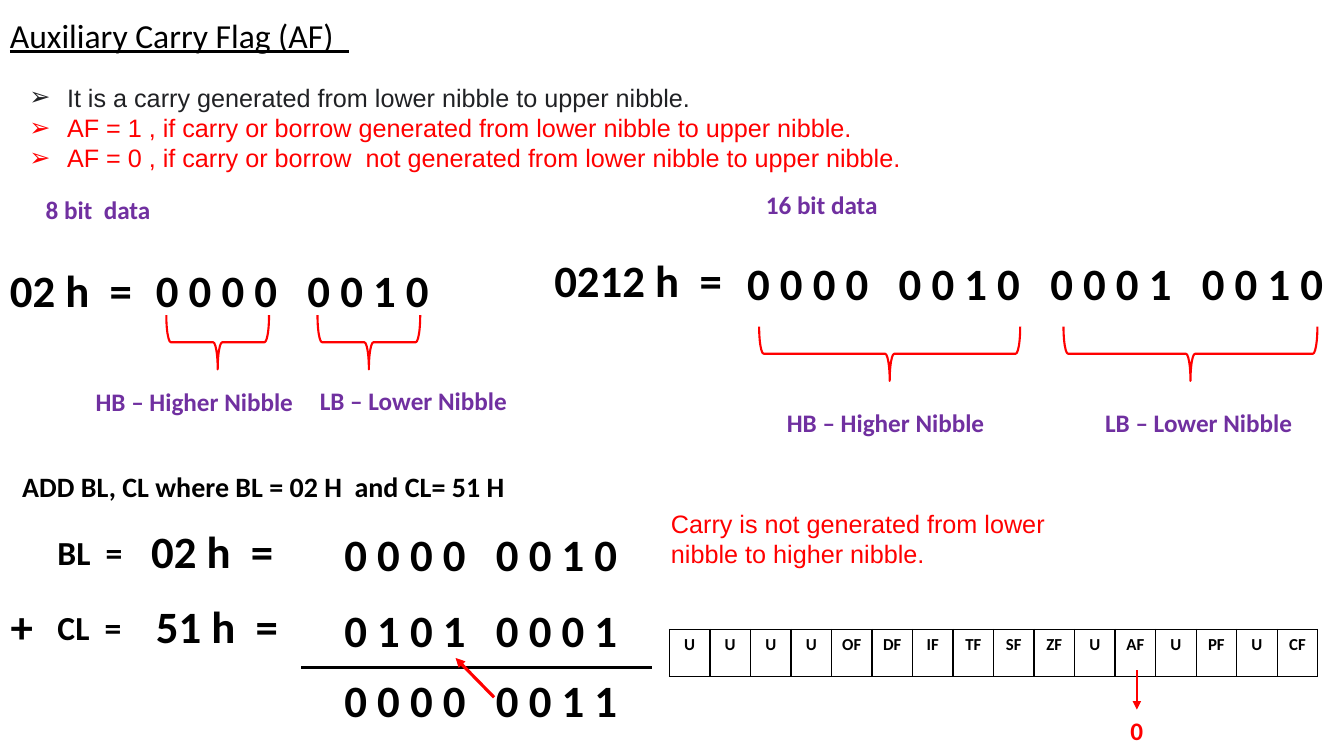
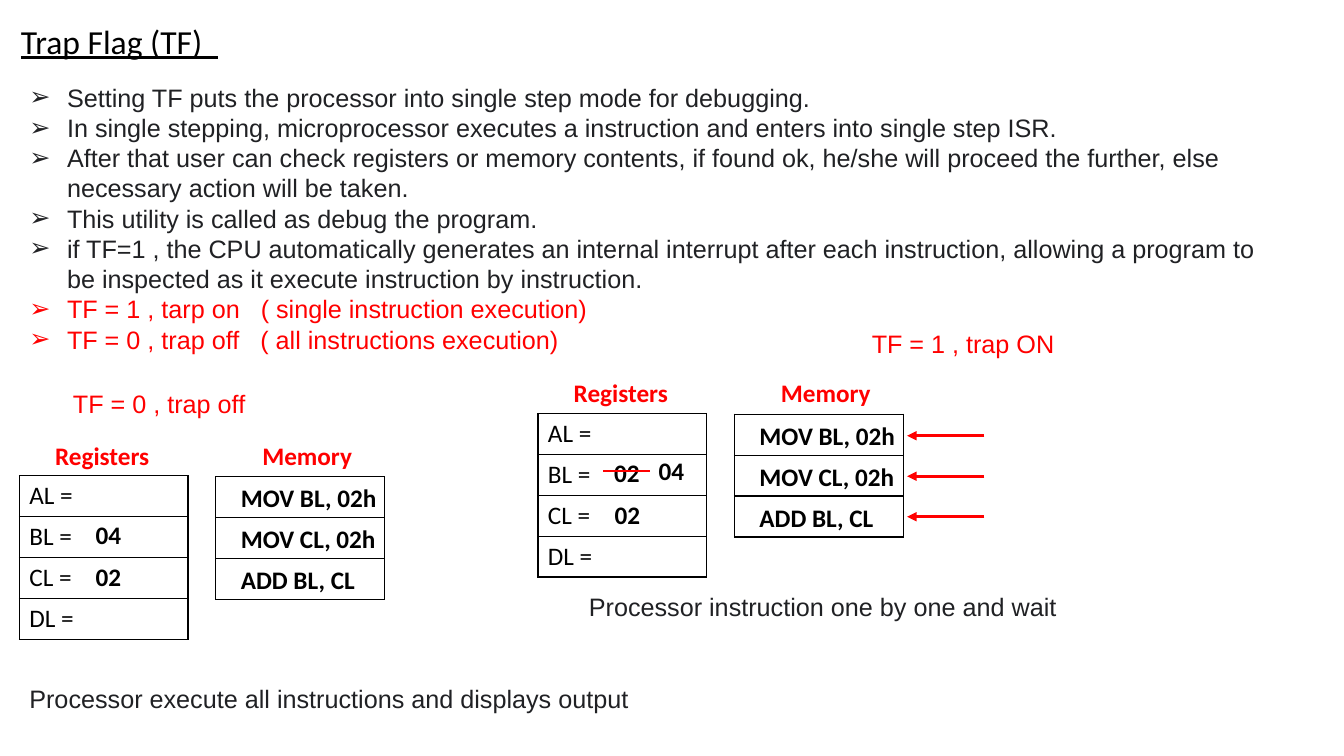
from lxml.etree import SubElement
from pptx import Presentation
from pptx.dml.color import RGBColor
from pptx.enum.shapes import MSO_CONNECTOR, MSO_SHAPE
from pptx.enum.text import PP_ALIGN
from pptx.oxml.ns import qn
from pptx.util import Cm, Pt

COLORS = {"black": "000000", "ink": "202124", "red": "FF0000", "plum": "7030A0"}
SANS, BODY = "Calibri", "Arial"
ROW = 1.03


def tint(name):
    """Return the named colour."""
    return RGBColor.from_string(COLORS[name])


def add_run(para, words, size=18, color="black", bold=True, face=SANS):
    """Add one styled run to a paragraph."""
    run = para.add_run()
    run.text = words
    font = run.font
    font.size, font.name, font.bold = Pt(size), face, bold
    font.color.rgb = tint(color)
    return run


def add_frame(slide, x, y, w, h):
    """Add an empty wrapping text box and return its frame."""
    frame = slide.shapes.add_textbox(Cm(x), Cm(y), Cm(w), Cm(h)).text_frame
    frame.word_wrap = True
    return frame


def add_text(slide, x, y, w, words, size=18, **style):
    """Add a text box holding one run."""
    frame = add_frame(slide, x, y, w, round(size * 0.043 + 0.25, 2))
    return add_run(frame.paragraphs[0], words, size, **style)


def add_note(slide, x, y, w, words, color="red"):
    """Add a plain remark in the body font."""
    add_text(slide, x, y, w, words, color=color, bold=False, face=BODY)


def add_title(slide, x, y, w, words):
    """Add the underlined slide title."""
    add_text(slide, x, y, w, words, 24, bold=False).font.underline = True


def add_list(slide, h, items):
    """Add the arrow list under the title from (words, colour) pairs."""
    frame = add_frame(slide, 0.49, 1.94, 31.62, h)
    for i, (words, color) in enumerate(items):
        para = frame.add_paragraph() if i else frame.paragraphs[0]
        props = para._p.get_or_add_pPr()
        props.set("marL", str(Cm(0.95)))
        props.set("indent", str(Cm(-0.95)))
        SubElement(props, qn("a:buFont")).set("typeface", BODY)
        SubElement(props, qn("a:buChar")).set("char", "➢")
        add_run(para, words, color=color, bold=False, face=BODY)


def add_line(slide, x1, y1, x2, y2, color="red", width=2.25, arrow=True):
    """Add a straight line, with an arrowhead at its end if asked."""
    line = slide.shapes.add_connector(
        MSO_CONNECTOR.STRAIGHT, Cm(x1), Cm(y1), Cm(x2), Cm(y2))
    line.line.color.rgb = tint(color)
    line.line.width = Pt(width)
    if arrow:
        SubElement(line.line._ln, qn("a:tailEnd")).set("type", "triangle")
    SubElement(line._element.spPr, qn("a:effectLst"))


def add_brace(slide, x, y, w, h=1.37):
    """Add a brace pointing down that spans the box given."""
    brace = slide.shapes.add_shape(
        MSO_SHAPE.RIGHT_BRACE, Cm(x + (w - h) / 2), Cm(y + (h - w) / 2), Cm(h), Cm(w))
    brace.rotation = 90
    brace.shadow.inherit = False
    brace.fill.background()
    brace.line.color.rgb = tint("red")
    brace.line.width = Pt(1.5)


def add_edges(cell):
    """Draw black borders round a cell and clear its fill."""
    props = cell._tc.get_or_add_tcPr()
    for side in ("lnL", "lnR", "lnT", "lnB"):
        edge = SubElement(props, qn(f"a:{side}"), w=str(Pt(1)))
        fill = SubElement(edge, qn("a:solidFill"))
        SubElement(fill, qn("a:srgbClr")).set("val", COLORS["black"])
    cell.fill.background()


def add_grid(slide, x, y, w, h, rows, pad=0.25, align=PP_ALIGN.LEFT, **style):
    """Add a bordered table with equal rows and columns."""
    table = slide.shapes.add_table(
        len(rows), len(rows[0]), Cm(x), Cm(y), Cm(w), Cm(h * len(rows))).table
    table.first_row = table.horz_banding = False
    for i, row in enumerate(rows):
        for j, words in enumerate(row):
            cell = table.cell(i, j)
            cell.margin_left = cell.margin_right = Cm(pad)
            para = cell.text_frame.paragraphs[0]
            para.alignment = align
            if words:
                add_run(para, words, **style)
            add_edges(cell)


def add_split(slide, x, y, head, value, bits, braces, names):
    """Show a number in binary with its two halves braced and named."""
    words, dx = head
    add_text(slide, x + dx, y, 6.5, words, color="plum")
    words, dy = value
    add_text(slide, x, y + dy, 4.85, words, 32)
    words, dx, dy, w = bits
    add_text(slide, x + dx, y + dy, w, words, 32)
    dy, spans = braces
    for dx, w in spans:
        add_brace(slide, x + dx, y + dy, w)
    for (dx, dy), words in zip(names, ("HB – Higher Nibble", "LB – Lower Nibble")):
        add_text(slide, x + dx, y + dy, 5.84, words, color="plum")


def add_sum(slide, x, y):
    """Lay out the binary sum of BL and CL."""
    add_text(slide, x + 0.31, y, 19.84, "ADD BL, CL where BL = 02 H  and CL= 51 H", 20)
    rows = (("BL  =", "02 h  =", 3.56, "0 0 0 0   0 0 1 0"),
            ("CL  =", "51 h  =", 3.68, "0 1 0 1   0 0 0 1"))
    for i, (name, value, dx, bits) in enumerate(rows):
        top = y + 1.38 + 1.88 * i
        add_text(slide, x + 1.2, top + 0.2, 2.5, name, 24)
        add_text(slide, x + dx, top, 4.6, value, 32)
        add_text(slide, x + 8.43, y + 1.45 + 1.92 * i, 8, bits, 32)
    add_text(slide, x + 0.02, y + 3.26, 2.08, "+", 32)
    add_text(slide, x + 8.43, y + 5.13, 8.23, "0 0 0 0   0 0 1 1", 32)
    add_line(slide, x + 7.59, y + 5.11, x + 16.43, y + 5.11, "black", arrow=False)
    add_line(slide, x + 12.45, y + 5.87, x + 11.48, y + 4.88)


def add_flags(slide, x, y):
    """Show the flag register and the value of AF."""
    flags = "U U U U OF DF IF TF SF ZF U AF U PF U CF".split()
    add_grid(slide, x, y, 16.34, 1.18, [flags], pad=0.1, align=PP_ALIGN.CENTER, size=12)
    mid = x + 11.78
    add_line(slide, mid, y + 1.03, mid, y + 2.02, width=1.5)
    add_text(slide, mid - 0.41, y + 2.04, 0.89, "0", color="red")


def add_state(slide, x, y, values):
    """Show registers and memory side by side, with register values."""
    add_text(slide, x + 0.65, y - 1.03, 3, "Registers", color="red")
    add_text(slide, x + 5.87, y - 1.03, 2.9, "Memory", color="red")
    names = [[f"{name} ="] for name in ("AL", "BL", "CL", "DL")]
    add_grid(slide, x, y, 4.25, ROW, names, bold=False)
    code = ("MOV BL, 02h", "MOV CL, 02h", "ADD BL, CL")
    add_grid(slide, x + 4.95, y + 0.02, 4.25, ROW, [[""]] * len(code))
    for i, words in enumerate(code):
        add_text(slide, x + 5.33, y + 0.05 + ROW * i, 4.2, words)
    for dx, dy, words in values:
        add_text(slide, x + dx, y + dy, 1.2, words)


def build_carry(slide):
    """Build the auxiliary carry flag slide."""
    add_title(slide, 0, 0.24, 9.3, "Auxiliary Carry Flag (AF)  ")
    add_list(slide, 3.33, [
        ("It is a carry generated from lower nibble to upper nibble.", "ink"),
        ("AF = 1 , if carry or borrow generated from lower nibble to upper nibble.", "red"),
        ("AF = 0 , if carry or borrow  not generated from lower nibble to upper nibble.",
         "red")])
    add_split(slide, 0, 4.77, ("8 bit  data", 0.9), ("02 h  =", 1.73),
              ("0 0 0 0   0 0 1 0", 3.68, 1.73, 7.52),
              (3.17, ((4.19, 2.59), (8, 2.59))), ((2.16, 4.85), (7.81, 4.81)))
    add_split(slide, 13.72, 4.65, ("16 bit data", 5.33), ("0212 h  =", 1.6),
              ("0 0 0 0   0 0 1 0   0 0 0 1   0 0 1 0", 4.86, 1.67, 15.3),
              (3.58, ((5.41, 6.58), (13.08, 6.4))), ((5.86, 5.48), (13.88, 5.48)))
    add_sum(slide, 0, 11.7)
    add_note(slide, 16.66, 12.69, 10.62,
             "Carry is not generated from lower nibble to higher nibble.")
    add_flags(slide, 16.87, 15.86)


def build_trap(slide):
    """Build the trap flag slide."""
    add_title(slide, 0.28, 0.4, 5.7, "Trap Flag (TF)  ")
    add_list(slide, 7.19, [
        ("Setting TF puts the processor into single step mode for debugging.", "ink"),
        ("In single stepping, microprocessor executes a instruction and enters into "
         "single step ISR.", "ink"),
        ("After that user can check registers or memory contents, if found ok, he/she "
         "will proceed the further, else necessary action will be taken.", "ink"),
        ("This utility is called as debug the program.", "ink"),
        ("if TF=1 , the CPU automatically generates an internal interrupt after each "
         "instruction, allowing a program to be inspected as it execute instruction "
         "by instruction.", "ink"),
        ("TF = 1 , tarp on   ( single instruction execution)", "red"),
        ("TF = 0 , trap off   ( all instructions execution)", "red")])
    add_note(slide, 1.59, 9.66, 5.2, "TF = 0 , trap off")
    add_state(slide, 0.49, 11.99, ((1.67, 0.96, "04"), (1.67, 2.03, "02")))
    add_note(slide, 0.49, 17.09, 16, "Processor execute all instructions and displays output",
             "ink")
    add_note(slide, 21.72, 8.15, 5.4, "TF = 1 , trap ON")
    x, y = 13.56, 10.42
    add_state(slide, x, y, ((1.67, 0.97, "02"), (1.68, 2.03, "02"), (2.79, 0.94, "04")))
    for i in range(3):
        top = y + 0.56 + 1.02 * i
        add_line(slide, x + 11.25, top, x + 9.3, top)
    add_line(slide, x + 2.82, y + 1.44, x + 1.63, y + 1.44, width=1.5, arrow=False)
    add_note(slide, 14.59, 14.78, 12.7, "Processor instruction one by one and wait", "ink")


def main():
    """Build and save the deck."""
    deck = Presentation()
    deck.slide_width, deck.slide_height = Cm(33.87), Cm(19.05)
    for build in (build_carry, build_trap):
        build(deck.slides.add_slide(deck.slide_layouts[6]))
    deck.save("out.pptx")


if __name__ == "__main__":
    main()
